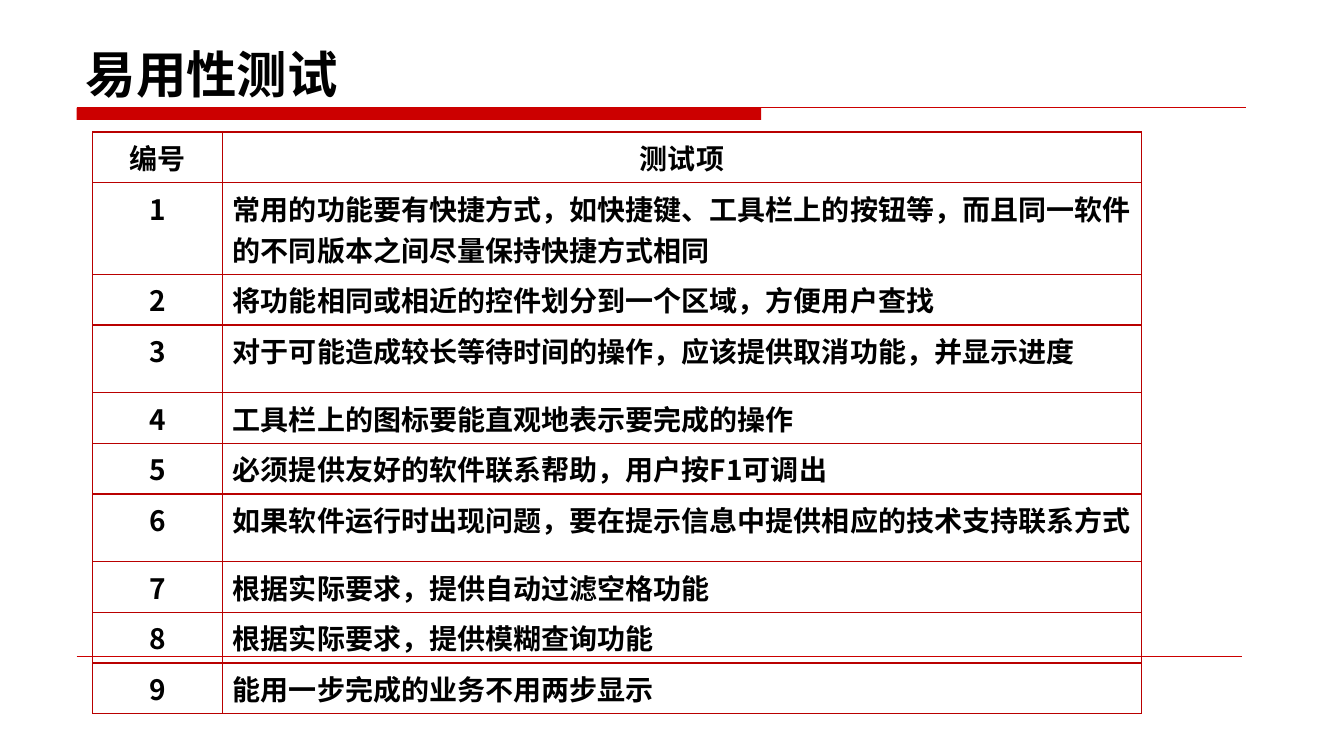
from lxml import etree
from pptx import Presentation
from pptx import util as u
from pptx.dml.color import RGBColor
from pptx.enum import shapes, text
from pptx.oxml.ns import qn

RED = RGBColor(0xCC, 0x00, 0x00)
BORDER = RGBColor(0xB9, 0x00, 0x00)
BLACK = RGBColor(0x00, 0x00, 0x00)

HEADER = ("编号", "测试项")
ITEMS = (
    "常用的功能要有快捷方式，如快捷键、工具栏上的按钮等，而且同一软件的不同版本之间尽量保持快捷方式相同",
    "将功能相同或相近的控件划分到一个区域，方便用户查找",
    "对于可能造成较长等待时间的操作，应该提供取消功能，并显示进度",
    "工具栏上的图标要能直观地表示要完成的操作",
    "必须提供友好的软件联系帮助，用户按F1可调出",
    "如果软件运行时出现问题，要在提示信息中提供相应的技术支持联系方式",
    "根据实际要求，提供自动过滤空格功能",
    "根据实际要求，提供模糊查询功能",
    "能用一步完成的业务不用两步显示",
)
TALL_ROWS = (1, 3, 6)


class SlideBuilder:
    """Holds the text style and the current slide, and adds its elements."""

    font = "Noto Sans CJK SC"

    def __init__(self, slide):
        self.s = slide

    def run(self, p, content, size):
        r = p.add_run()
        r.text = content
        r.font.size = u.Pt(size)
        r.font.name = self.font
        r.font.bold = True
        r.font.color.rgb = BLACK
        ea = etree.Element(qn("a:ea"), typeface=self.font)
        r.font._element.find(qn("a:latin")).addnext(ea)

    def title(self, content, left, top, width, height):
        sp = self.s.shapes.title
        sp.left, sp.top = u.Inches(left), u.Inches(top)
        sp.width, sp.height = u.Inches(width), u.Inches(height)
        tf = sp.text_frame
        tf.word_wrap = True
        tf.auto_size = text.MSO_AUTO_SIZE.NONE
        tf.vertical_anchor = text.MSO_ANCHOR.BOTTOM
        p = tf.paragraphs[0]
        p.alignment = text.PP_ALIGN.LEFT
        self.run(p, content, 36)

    def bar(self, left, top, width, height):
        sp = self.s.shapes.add_shape(
            shapes.MSO_SHAPE.RECTANGLE,
            u.Inches(left), u.Inches(top), u.Inches(width), u.Inches(height))
        sp.shadow.inherit = False
        sp.fill.solid()
        sp.fill.fore_color.rgb = RED
        sp.line.fill.background()

    def rule(self, left, right, y, weight):
        cx = self.s.shapes.add_connector(
            shapes.MSO_CONNECTOR.STRAIGHT,
            u.Inches(left), u.Inches(y), u.Inches(right), u.Inches(y))
        cx.line.color.rgb = RED
        cx.line.width = u.Pt(weight)
        etree.SubElement(cx._element.spPr, qn("a:effectLst"))

    def borders(self, cell):
        tcPr = cell._tc.get_or_add_tcPr()
        for side in ("lnL", "lnR", "lnT", "lnB"):
            ln = etree.SubElement(tcPr, qn("a:" + side), w=str(u.Pt(1)))
            fill = etree.SubElement(ln, qn("a:solidFill"))
            etree.SubElement(fill, qn("a:srgbClr"), val=str(BORDER))

    def table(self, rows, left, top, widths, heights):
        frame = self.s.shapes.add_table(
            len(rows), len(widths), u.Inches(left), u.Inches(top),
            u.Inches(sum(widths)), u.Inches(sum(heights)))
        tbl = frame.table
        tbl.first_row = tbl.horz_banding = False
        for col, width in zip(tbl.columns, widths):
            col.width = u.Inches(width)
        for i, (row, height) in enumerate(zip(rows, heights)):
            tbl.rows[i].height = u.Inches(height)
            for j, content in enumerate(row):
                cell = tbl.cell(i, j)
                self.borders(cell)
                cell.fill.background()
                p = cell.text_frame.paragraphs[0]
                centred = i == 0 or j == 0
                p.alignment = text.PP_ALIGN.CENTER if centred else text.PP_ALIGN.LEFT
                self.run(p, content, 20)


def main():
    prs = Presentation()
    prs.slide_width, prs.slide_height = u.Inches(13.33), u.Inches(7.5)
    b = SlideBuilder(prs.slides.add_slide(prs.slide_layouts[5]))
    b.bar(0.76, 1.07, 6.79, 0.12)
    b.rule(0.76, 12.36, 1.07, 0.75)
    b.rule(0.76, 12.32, 6.51, 0.25)
    rows = [HEADER] + [(str(n), item) for n, item in enumerate(ITEMS, 1)]
    heights = [0.67 if i in TALL_ROWS else 0.43 for i in range(len(rows))]
    b.table(rows, 0.92, 1.31, (1.29, 9.11), heights)
    b.title("易用性测试", 0.75, 0.29, 11.67, 0.79)
    prs.save("out.pptx")


if __name__ == "__main__":
    main()
